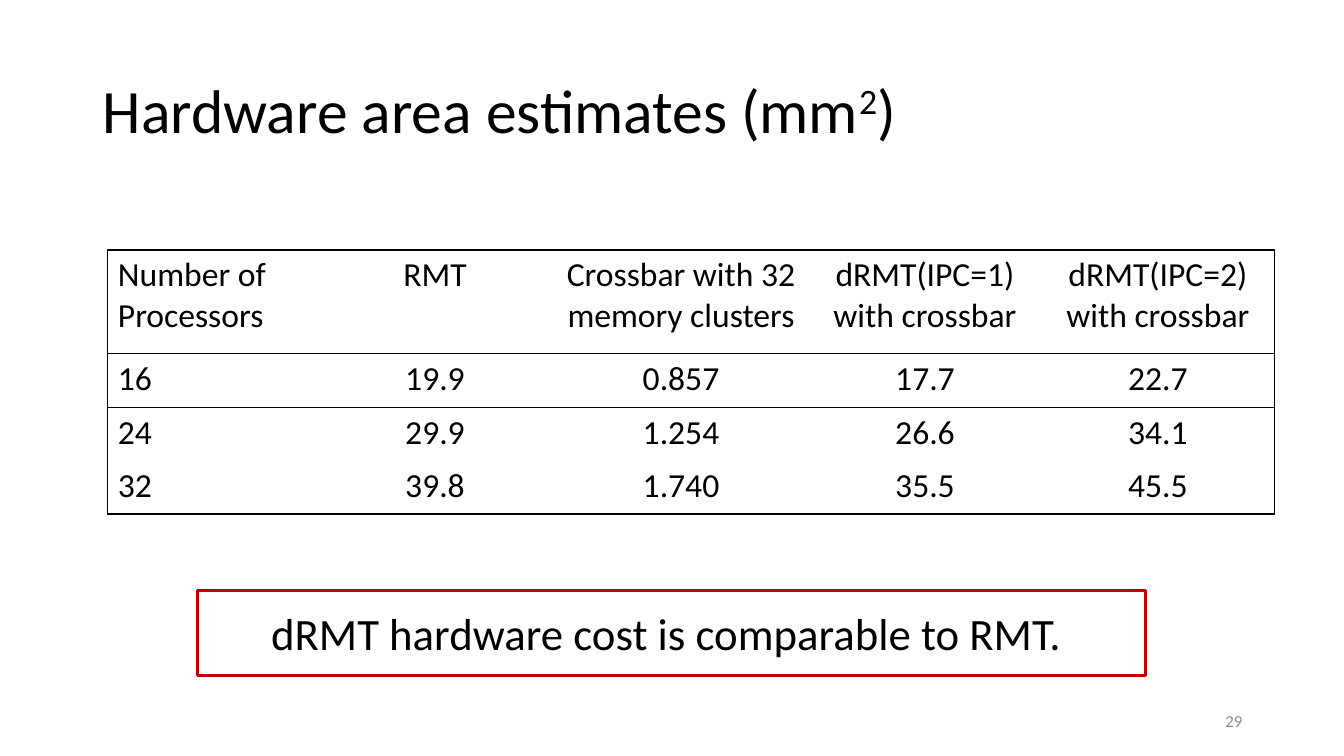
from lxml import etree
from pptx import Presentation
from pptx.dml.color import RGBColor
from pptx.enum import shapes, text
from pptx.oxml import ns
from pptx.util import Inches, Pt

# Content
TITLE = [("Hardware area estimates (mm", 0), ("2", 30000), (")", 0)]
ROWS = [
    ("Number of Processors", "RMT", "Crossbar with 32 memory clusters",
     "dRMT(IPC=1) with crossbar", "dRMT(IPC=2) with crossbar"),
    ("16", "19.9", "0.857", "17.7", "22.7"),
    ("24", "29.9", "1.254", "26.6", "34.1"),
    ("32", "39.8", "1.740", "35.5", "45.5"),
]
CLAIM = [("dRMT hardware cost is comparable to RMT. ", 0)]
PAGE = [("29", 0)]

# Layout and format
WIDTHS = [2.07, 2.35, 2.53, 2.31, 2.31]
HEIGHTS = [1.03, 0.53, 0.53, 0.53]
RULED = {0, 1, 3}  # rows with a line below
BLACK, WHITE, RED, GREY = "000000", "FFFFFF", "C00000", "8C8C8C"
LEFT, MID, RIGHT = (text.PP_ALIGN.LEFT, text.PP_ALIGN.CENTER,
                    text.PP_ALIGN.RIGHT)


def color(code):
    return RGBColor.from_string(code)


def write(frame, runs, size, align=LEFT, ink=BLACK, space=1.0):
    frame.word_wrap = True
    para = frame.paragraphs[0]
    para.alignment, para.line_spacing = align, space
    for words, base in runs:
        run = para.add_run()
        run.text = words
        form = {"name": "Calibri", "size": Pt(size), "bold": False}
        for key, value in form.items():
            setattr(run.font, key, value)
        run.font.color.rgb = color(ink)
        if base:
            run._r.get_or_add_rPr().set("baseline", str(base))


def label(slide, box, *args, **form):
    frame = slide.shapes.add_textbox(*map(Inches, box)).text_frame
    frame.vertical_anchor = text.MSO_ANCHOR.MIDDLE
    write(frame, *args, **form)


def edge(cell, sides):
    props = cell._tc.get_or_add_tcPr()
    for spot, side in enumerate("LRTB"):
        line = etree.Element(ns.qn("a:ln" + side), w=str(Pt(1)))
        if side in sides:
            fill = etree.SubElement(line, ns.qn("a:solidFill"))
            etree.SubElement(fill, ns.qn("a:srgbClr"), val=BLACK)
        else:
            etree.SubElement(line, ns.qn("a:noFill"))
        props.insert(spot, line)


def grid(slide):
    box = map(Inches, (1.07, 2.48, sum(WIDTHS), sum(HEIGHTS)))
    table = slide.shapes.add_table(len(ROWS), len(WIDTHS), *box).table
    table.first_row = table.horz_banding = False
    for col, width in zip(table.columns, WIDTHS):
        col.width = Inches(width)
    for r, row in enumerate(ROWS):
        table.rows[r].height = Inches(HEIGHTS[r])
        for c, words in enumerate(row):
            cell = table.cell(r, c)
            cell.fill.background()
            write(cell.text_frame, [(words, 0)], 24, MID if c else LEFT)
            tests = {"L": c == 0, "R": c == len(row) - 1,
                     "T": r == 0 or r - 1 in RULED, "B": r in RULED}
            edge(cell, [side for side, on in tests.items() if on])


def claim(slide):
    box = slide.shapes.add_shape(shapes.MSO_SHAPE.RECTANGLE,
                                 *map(Inches, (1.96, 5.86, 9.4, 0.84)))
    box.shadow.inherit = False
    box.fill.solid()
    box.fill.fore_color.rgb = color(WHITE)
    box.line.color.rgb = color(RED)
    box.line.width = Pt(2)
    box.text_frame.vertical_anchor = text.MSO_ANCHOR.MIDDLE
    write(box.text_frame, CLAIM, 32, MID)


def main():
    deck = Presentation()
    deck.slide_width, deck.slide_height = Inches(13.33), Inches(7.5)
    slide = deck.slides.add_slide(deck.slide_layouts[6])
    label(slide, (0.92, 0.4, 11.5, 1.45), TITLE, 44, space=0.9)
    grid(slide)
    claim(slide)
    label(slide, (9.42, 6.95, 3, 0.4), PAGE, 12, RIGHT, GREY)
    deck.save("out.pptx")


if __name__ == "__main__":
    main()
